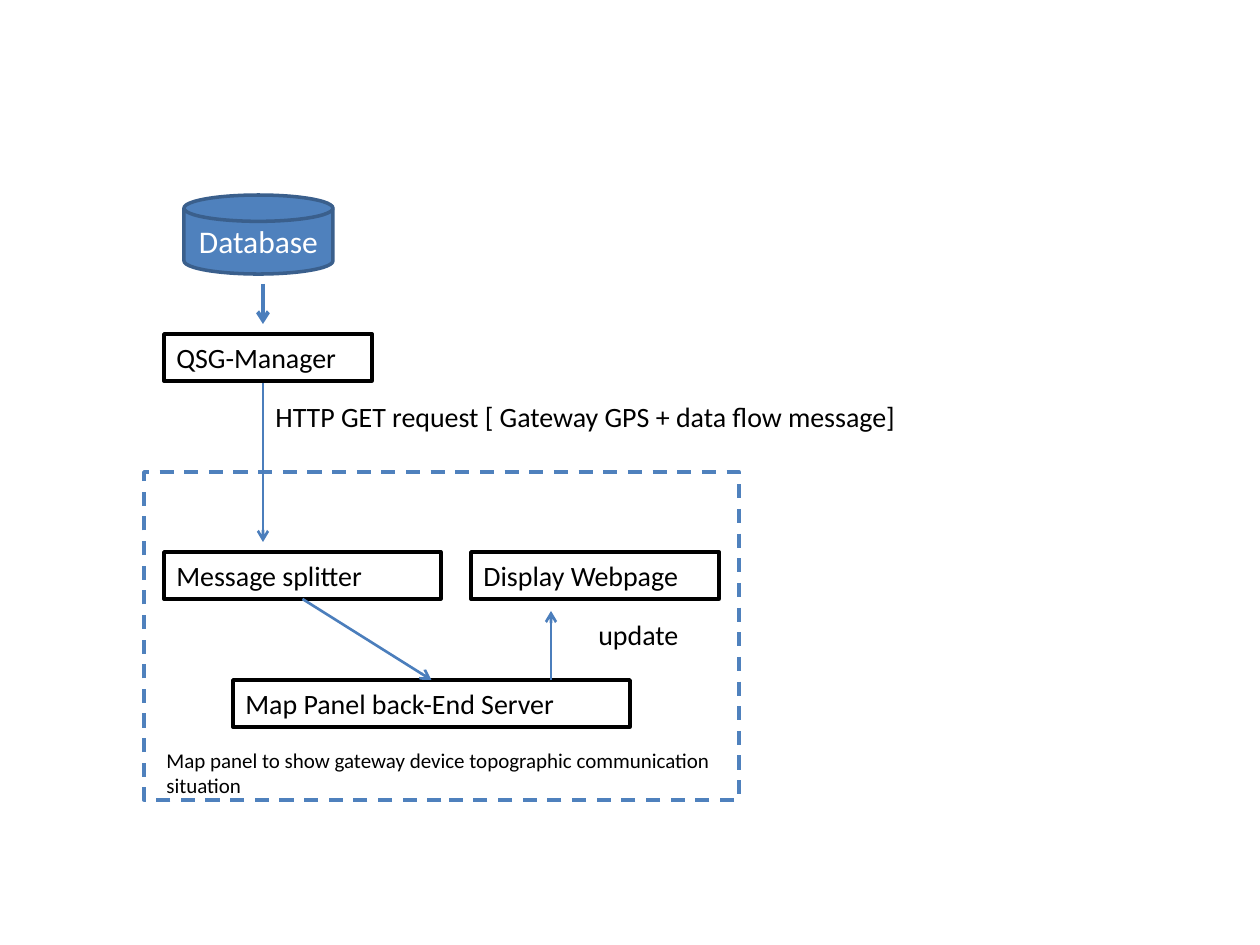
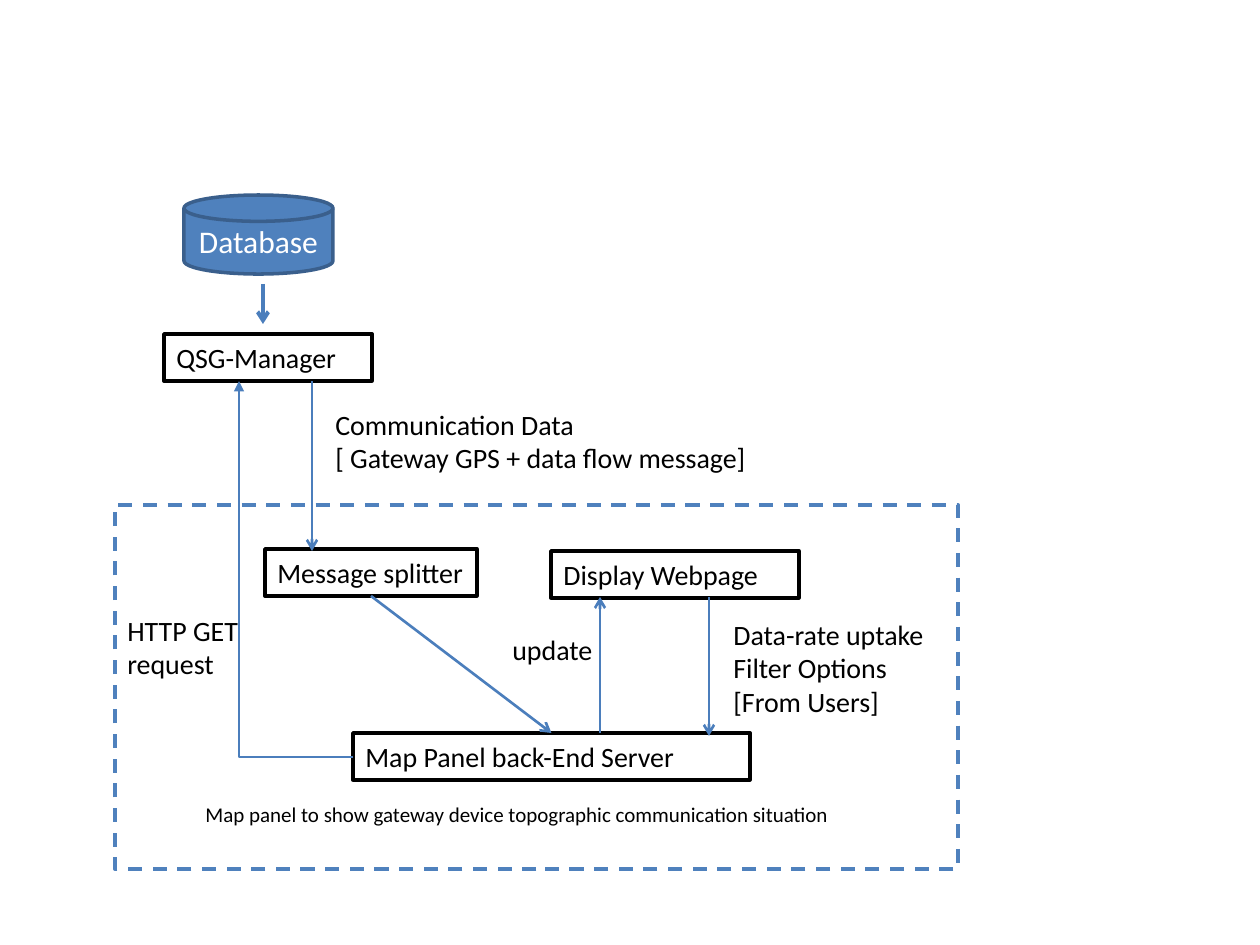
from lxml import etree
from pptx import Presentation
from pptx.dml.color import RGBColor
from pptx.enum.dml import MSO_LINE
from pptx.enum.shapes import MSO_CONNECTOR, MSO_SHAPE
from pptx.enum.text import MSO_ANCHOR, MSO_AUTO_SIZE, PP_ALIGN
from pptx.oxml.ns import qn
from pptx.util import Emu, Pt

DASH = MSO_LINE.DASH
STRAIGHT = MSO_CONNECTOR.STRAIGHT
RECTANGLE, DISK = MSO_SHAPE.RECTANGLE, MSO_SHAPE.FLOWCHART_MAGNETIC_DISK
TOP, MIDDLE = MSO_ANCHOR.TOP, MSO_ANCHOR.MIDDLE
LEFT, CENTER = PP_ALIGN.LEFT, PP_ALIGN.CENTER
GROW, FIXED = MSO_AUTO_SIZE.SHAPE_TO_FIT_TEXT, MSO_AUTO_SIZE.NONE
TOP_SIDE, BOTTOM_SIDE = 0, 2

PX_PER_INCH = 126
SLIDE_W, SLIDE_H = 1260, 945
BOX_H = 47
FONT = "Calibri"
COLORS = {
    "paper": "FFFFFF", "ink": "000000", "blue": "4F81BD",
    "disk_edge": "3A5F8C", "arrow": "4B7EBC",
}

# Content shared by both slides: boxes are left, top, width
DATABASE = ("Database", (184, 195, 149, 79))
MANAGER = {"QSG-Manager": (164, 334, 208)}
DATABASE_ARROW = ((263, 284), (263, 324), 2.25)
SPLITTER, SERVER, WEBPAGE = "Message splitter", "Map Panel back-End Server", "Display Webpage"
CAPTION = "Map panel to show gateway device topographic communication situation"

# Content of each slide: labels are lines, (left, top, width, height), size
SLIDES = [
    {
        "panel": (144, 472, 595, 328),
        "boxes": {SERVER: (233, 680, 397), SPLITTER: (164, 552, 277), WEBPAGE: (471, 552, 248)},
        "arrows": [((263, 383), (263, 542), 1.5), ((551, 680), (551, 611), 1.5)],
        "labels": [
            (["HTTP GET request [ Gateway GPS + data flow message]"], (263, 393, 674, 47), 16),
            (["update"], (586, 611, 123, 47), 16),
            ([CAPTION], (154, 741, 586, 63), 12),
        ],
    },
    {
        "panel": (115, 505, 843, 364),
        "boxes": {SERVER: (353, 733, 397), SPLITTER: (265, 549, 212), WEBPAGE: (551, 551, 248)},
        "arrows": [
            ((312, 381), (312, 551), 1.5),
            ((600, 733), (600, 597), 1.5),
            ((709, 597), (709, 736), 1.5),
        ],
        "request": ((353, 757), (239, 381)),
        "labels": [
            (["Communication Data", "[ Gateway GPS + data flow message]"], (323, 401, 446, 81), 16),
            (["update"], (500, 626, 123, 47), 16),
            ([CAPTION], (193, 795, 685, 38), 12),
            (["Data-rate uptake", "Filter Options", "[From Users]"], (721, 611, 248, 115), 16),
            (["HTTP GET", "request"], (115, 607, 147, 81), 16),
        ],
    },
]


def px(*lengths):
    return [Emu(round(length * 914400 / PX_PER_INCH)) for length in lengths]


def rgb(name):
    return RGBColor.from_string(COLORS[name])


def write(frame, lines, size, color="ink", align=LEFT, anchor=TOP, fit=GROW):
    frame_format = {"word_wrap": True, "vertical_anchor": anchor, "auto_size": fit}
    for name, value in frame_format.items():
        setattr(frame, name, value)
    for number, line in enumerate(lines):
        paragraph = frame.paragraphs[0] if number == 0 else frame.add_paragraph()
        paragraph.alignment = align
        run = paragraph.add_run()
        run.text = line
        for name, value in {"name": FONT, "size": Pt(size)}.items():
            setattr(run.font, name, value)
        run.font.color.rgb = rgb(color)


def add_outlined(slide, kind, place, fill, edge):
    shape = slide.shapes.add_shape(kind, *px(*place))
    shape.shadow.inherit = False
    shape.fill.solid()
    shape.fill.fore_color.rgb = rgb(fill)
    shape.line.color.rgb = rgb(edge)
    shape.line.width = Pt(2)
    return shape


def add_arrow(slide, start, end, width, head="arrow", kind=STRAIGHT):
    arrow = slide.shapes.add_connector(kind, *px(*start, *end))
    arrow.line.color.rgb = rgb("arrow")
    arrow.line.width = Pt(width)
    properties = arrow.element.spPr
    etree.SubElement(properties.find(qn("a:ln")), qn("a:tailEnd"), type=head)
    etree.SubElement(properties, qn("a:effectLst"))
    return arrow


def add_request(slide, start, end):
    # A half turn makes the elbow run left from the server, then up
    elbow = add_arrow(slide, end, start, 0.75, "triangle", MSO_CONNECTOR.ELBOW)
    properties = elbow.element.spPr
    properties.find(qn("a:xfrm")).set("rot", "10800000")
    properties.find(qn("a:prstGeom")).set("prst", "bentConnector2")


def build_slide(deck, content):
    slide = deck.slides.add_slide(deck.slide_layouts[6])

    # Dashed panel
    panel = add_outlined(slide, RECTANGLE, content["panel"], "paper", "blue")
    panel.line.dash_style = DASH

    # Database and component boxes
    name, place = DATABASE
    database = add_outlined(slide, DISK, place, "blue", "disk_edge")
    write(database.text_frame, [name], 18, "paper", CENTER, MIDDLE, FIXED)
    boxes = {}
    for name, place in (MANAGER | content["boxes"]).items():
        boxes[name] = add_outlined(slide, RECTANGLE, (*place, BOX_H), "paper", "ink")
        write(boxes[name].text_frame, [name], 16)

    # Arrows
    for start, end, width in [DATABASE_ARROW, *content["arrows"]]:
        add_arrow(slide, start, end, width)
    split = add_arrow(slide, (0, 0), (1, 1), 1.5)
    split.begin_connect(boxes[SPLITTER], BOTTOM_SIDE)
    split.end_connect(boxes[SERVER], TOP_SIDE)
    if "request" in content:
        add_request(slide, *content["request"])

    # Labels
    for lines, place, size in content["labels"]:
        write(slide.shapes.add_textbox(*px(*place)).text_frame, lines, size)


def main():
    deck = Presentation()
    deck.slide_width, deck.slide_height = px(SLIDE_W, SLIDE_H)
    for content in SLIDES:
        build_slide(deck, content)
    deck.save("out.pptx")


if __name__ == "__main__":
    main()
